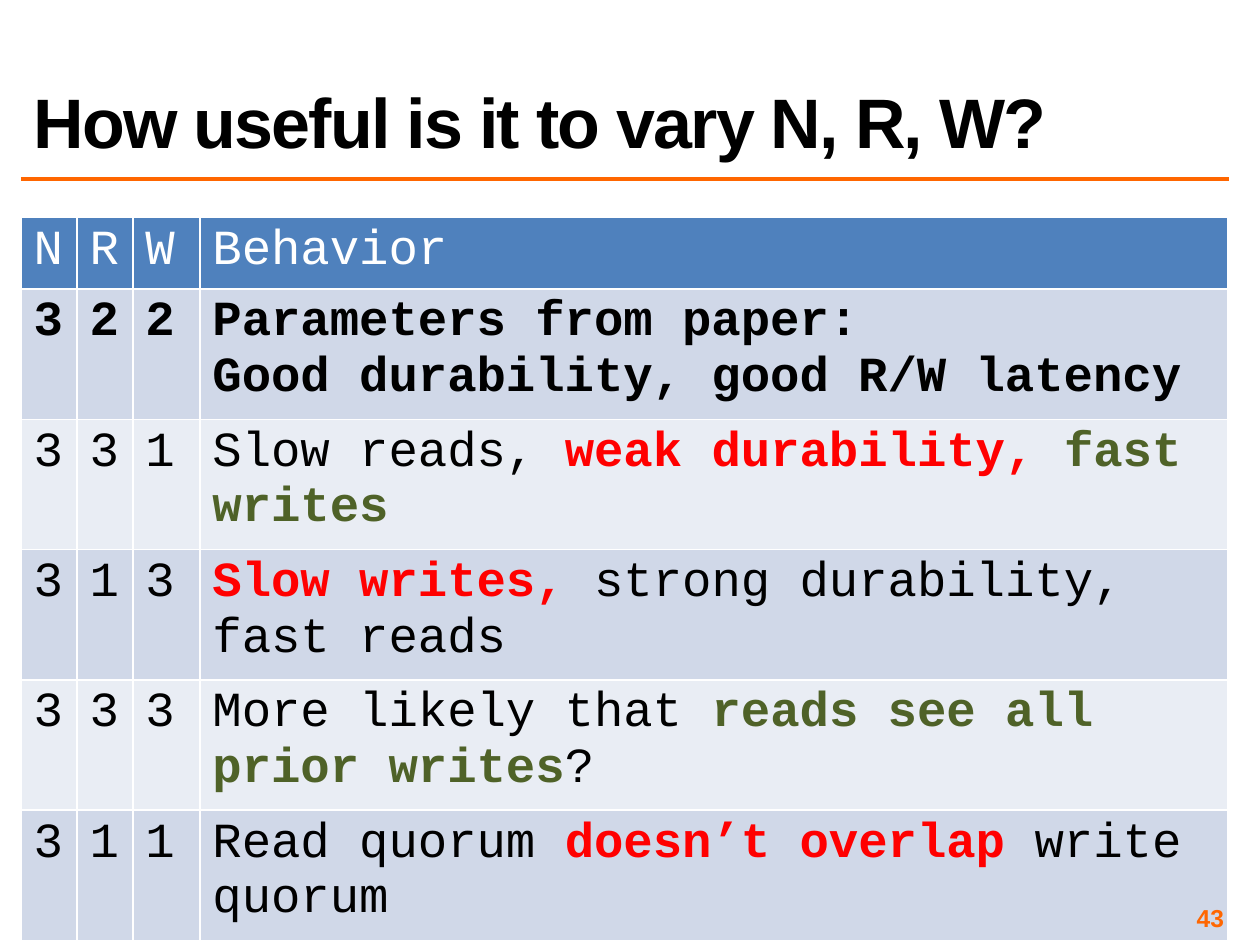
from lxml import etree
from pptx import Presentation
from pptx.dml.color import RGBColor
from pptx.enum.shapes import MSO_CONNECTOR
from pptx.enum.text import MSO_ANCHOR, PP_ALIGN
from pptx.oxml.ns import qn
from pptx.util import Pt

LEFT, RIGHT = PP_ALIGN.LEFT, PP_ALIGN.RIGHT
BOTTOM, MIDDLE = MSO_ANCHOR.BOTTOM, MSO_ANCHOR.MIDDLE
STRAIGHT = MSO_CONNECTOR.STRAIGHT
HEX = {"white": "FFFFFF", "black": "000000", "orange": "FF6600", "head": "4F81BD",
       "dark": "D0D8E8", "light": "E9EDF4", "red": "FF0000", "green": "4F6228"}
TITLE = {"name": "Arial", "size": Pt(40), "bold": True}
PAGE = {"name": "Arial", "size": Pt(14), "bold": True}
CODE = {"name": "Courier New", "size": Pt(28), "bold": False}
BOLD = CODE | {"bold": True}
COLS = [56, 56, 67, 1028]
ROWS = [
    ("NRW", [[("Behavior", "white", CODE)]]),
    ("322", [[("Parameters from paper:", "black", BOLD)],
             [("Good durability, good R/W latency", "black", BOLD)]]),
    ("331", [[("Slow reads, ", "black", CODE), ("weak durability, ", "red", BOLD),
              ("fast writes", "green", BOLD)]]),
    ("313", [[("Slow writes, ", "red", BOLD),
              ("strong durability, fast reads", "black", CODE)]]),
    ("333", [[("More likely that ", "black", CODE),
              ("reads see all prior writes", "green", BOLD), ("?", "black", CODE)]]),
    ("311", [[("Read quorum ", "black", CODE), ("doesn’t overlap ", "red", BOLD),
              ("write quorum", "black", CODE)]]),
]


def px(num):
    """Turn pixels into EMU."""
    return round(num * 914400 / 126)


def rgb(key):
    """Look up a colour."""
    return RGBColor.from_string(HEX[key])


def write(frame, paras, align=LEFT):
    """Fill a text frame with paragraphs of (text, colour, format) runs."""
    for i, runs in enumerate(paras):
        para = frame.paragraphs[0] if i == 0 else frame.add_paragraph()
        para.alignment = align
        for text, tint, form in runs:
            run = para.add_run()
            run.text = text
            run.font.color.rgb = rgb(tint)
            for key, val in form.items():
                setattr(run.font, key, val)


def add_text(slide, spot, paras, form, align=LEFT):
    """Add a wrapped text box and return its frame."""
    frame = slide.shapes.add_textbox(*map(px, spot)).text_frame
    for key, val in form.items():
        setattr(frame, key, val)
    write(frame, paras, align)
    return frame


def add_rule(slide, left, right, top):
    """Add the rule below the title."""
    rule = slide.shapes.add_connector(STRAIGHT, px(left), px(top), px(right), px(top))
    rule.line.color.rgb = rgb("orange")
    rule.line.width = Pt(2)
    etree.SubElement(rule._element.spPr, qn("a:effectLst"))


def edge(cell):
    """Draw thin white borders around a cell."""
    props = cell._tc.get_or_add_tcPr()
    for i, side in enumerate(("lnL", "lnR", "lnT", "lnB")):
        line = etree.Element(qn(f"a:{side}"), w=str(Pt(1)))
        fill = etree.SubElement(line, qn("a:solidFill"))
        etree.SubElement(fill, qn("a:srgbClr"), val=HEX["white"])
        props.insert(i, line)


def add_grid(slide, left, top):
    """Add the table of N, R, W settings and their behavior."""
    highs = [72] + [123] * (len(ROWS) - 1)
    spot = map(px, (left, top, sum(COLS), sum(highs)))
    table = slide.shapes.add_table(len(ROWS), len(COLS), *spot).table
    table.horz_banding = False
    for col, wide in zip(table.columns, COLS):
        col.width = px(wide)
    for i, (row, high, (nums, text)) in enumerate(zip(table.rows, highs, ROWS)):
        row.height = px(high)
        back = "head" if i == 0 else ("light", "dark")[i % 2]
        tint, form = text[0][0][1:] if i < 2 else ("black", CODE)
        parts = [[[(num, tint, form)]] for num in nums] + [text]
        for cell, paras in zip(row.cells, parts):
            cell.fill.solid()
            cell.fill.fore_color.rgb = rgb(back)
            edge(cell)
            write(cell.text_frame, paras)


def main():
    """Build and save the slide."""
    deck = Presentation()
    deck.slide_width, deck.slide_height = px(1260), px(945)
    slide = deck.slides.add_slide(deck.slide_layouts[6])
    add_rule(slide, 21, 1229, 179)
    head = add_text(slide, (21, 21, 1207, 147),
                    [[("How useful is it to vary N, R, W?", "black", TITLE)]],
                    {"word_wrap": True, "vertical_anchor": BOTTOM})
    para = head.paragraphs[0]
    para.line_spacing = 0.8
    para.runs[0].font._element.set("spc", "-100")
    add_grid(slide, 21, 217)
    sides = ("left", "top", "right", "bottom")
    form = {f"margin_{side}": px(5) for side in sides}
    add_text(slide, (935, 903, 294, 29), [[("43", "orange", PAGE)]],
             form | {"word_wrap": True, "vertical_anchor": MIDDLE}, RIGHT)
    deck.save("out.pptx")


if __name__ == "__main__":
    main()
